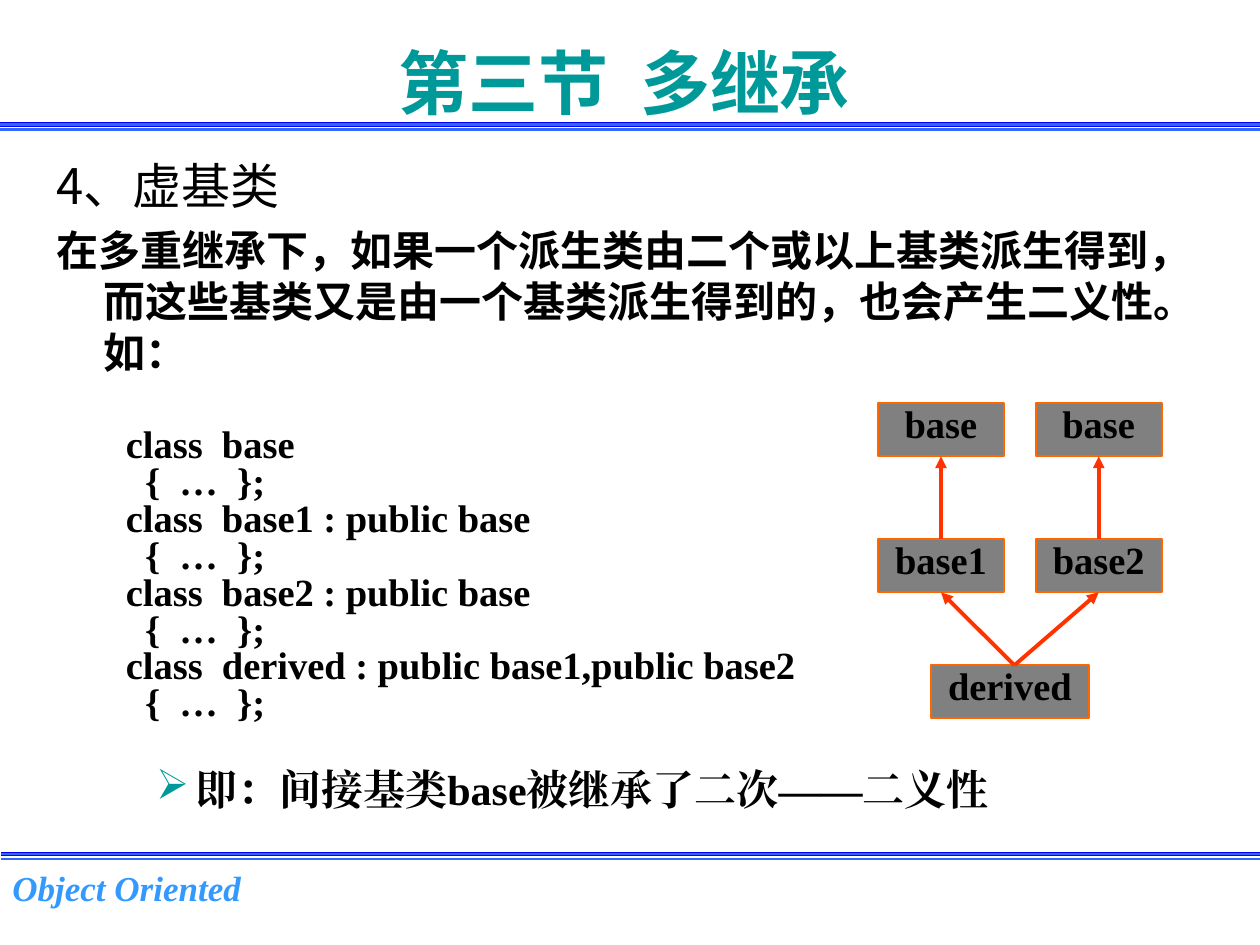
from dataclasses import dataclass

from lxml.etree import SubElement
from pptx import Presentation
from pptx.dml.color import RGBColor as RGB
from pptx.enum.shapes import MSO_CONNECTOR as Link, MSO_SHAPE as Shape
from pptx.enum.text import MSO_ANCHOR as Anchor, PP_ALIGN as Align
from pptx.oxml.ns import qn
from pptx.util import Cm, Pt


@dataclass(frozen=True)
class Theme:
    teal: str = "009999"
    black: str = "000000"
    blue: str = "0000FF"
    azure: str = "3366FF"
    sky: str = "3399FF"
    grey: str = "808080"
    orange: str = "FF6600"
    red: str = "FF3300"
    sans: str = "Arial"
    cjk: str = "Noto Sans CJK SC"
    serif: str = "Times New Roman"
    title: int = 40
    head: int = 28
    text: int = 24
    code: int = 22
    foot: int = 20
    lead: float = 21.1


theme = Theme()


def write(frame, text, size, face, east, color=theme.black, bold=True, lead=None):
    """Fill a text frame and give every paragraph and run the same look."""
    frame.word_wrap = True
    frame.text = text
    for para in frame.paragraphs:
        if lead:
            para.line_spacing = Pt(lead)
        for run in para.runs:
            font = run.font
            font.size, font.name, font.bold = Pt(size), face, bold
            font.color.rgb = RGB.from_string(color)
            SubElement(run._r.get_or_add_rPr(), qn("a:ea")).set("typeface", east)


def draw(shapes, x1, y1, x2, y2, color, width):
    line = shapes.add_connector(Link.STRAIGHT, Cm(x1), Cm(y1), Cm(x2), Cm(y2))
    line.line.color.rgb = RGB.from_string(color)
    line.line.width = Pt(width)
    SubElement(line._element.spPr, qn("a:effectLst"))
    return line


deck = Presentation()
deck.slide_width, deck.slide_height = Cm(25.4), Cm(19.05)
slide = deck.slides.add_slide(deck.slide_layouts[6])
shapes = slide.shapes

# Rules above and below the content
for left, top in ((0, 2.51), (0.03, 17.22)):
    for drop, color, width in ((0, theme.blue, 2.5), (0.1, theme.azure, 1.25),
                               (0, theme.azure, 1.25)):
        draw(shapes, left, top + drop, left + 25.4, top + drop, color, width)

# Footer and title
foot = shapes.add_textbox(Cm(0), Cm(17.35), Cm(8.3), Cm(1.32)).text_frame
write(foot, "Object Oriented", theme.foot, theme.serif, theme.serif, theme.sky)
foot.paragraphs[0].runs[0].font.italic = True

title = shapes.add_textbox(Cm(1.27), Cm(0.76), Cm(22.63), Cm(1.75)).text_frame
write(title, "第三节  多继承", theme.title, theme.sans, theme.cjk, theme.teal)
title.vertical_anchor = Anchor.MIDDLE
title.paragraphs[0].alignment = Align.CENTER

# Heading and explanation
body = shapes.add_textbox(Cm(0.89), Cm(2.92), Cm(23.19), Cm(14)).text_frame
write(body, "4、虚基类\n"
      "在多重继承下，如果一个派生类由二个或以上基类派生得到，"
      "而这些基类又是由一个基类派生得到的，也会产生二义性。如：",
      theme.text, theme.sans, theme.cjk)
head, intro = body.paragraphs
font = head.runs[0].font
font.size, font.name, font.bold = Pt(theme.head), theme.cjk, False
head.line_spacing = Pt(36)
intro.line_spacing = Pt(29)
intro.space_before = Pt(6)
for para in body.paragraphs:
    props = para._p.get_or_add_pPr()
    props.set("marL", str(Cm(0.95)))
    props.set("indent", str(-Cm(0.95)))

# Code listing
names = ("base", "base1 : public base", "base2 : public base",
         "derived : public base1,public base2")
code = shapes.add_textbox(Cm(2.29), Cm(8.53), Cm(14.17), Cm(6.78)).text_frame
write(code, "\n".join(f"class  {name}\n  {{  …  }};" for name in names),
      theme.code, theme.serif, theme.serif, lead=theme.lead)

# Class diagram
tree = shapes.add_group_shape().shapes
wide, high = 2.54, 1.07
cols, rows = (17.7, 20.88), (8.13, 10.87, 13.41)
boxes = [(cols[0], rows[0], wide, "base"), (cols[1], rows[0], wide, "base"),
         (cols[0], rows[1], wide, "base1"), (cols[1], rows[1], wide, "base2"),
         (18.77, rows[2], 3.18, "derived")]
for left, top, width, name in boxes:
    box = tree.add_shape(Shape.RECTANGLE, Cm(left), Cm(top), Cm(width), Cm(high))
    box.shadow.inherit = False
    box.fill.solid()
    box.fill.fore_color.rgb = RGB.from_string(theme.grey)
    box.line.color.rgb = RGB.from_string(theme.orange)
    box.line.width = Pt(1)
    write(box.text_frame, name, theme.code, theme.serif, theme.serif, lead=theme.lead)
    box.text_frame.vertical_anchor = Anchor.TOP
    box.text_frame.paragraphs[0].alignment = Align.CENTER

mids = [col + wide / 2 for col in cols]
links = [(mid, rows[1], mid, rows[0] + high) for mid in mids]
links += [(20.45, rows[2], mid, rows[1] + high) for mid in mids]
for ends in links:
    arrow = draw(tree, *ends, theme.red, 2.25)
    SubElement(arrow.line._get_or_add_ln(), qn("a:tailEnd")).set("type", "triangle")

# Conclusion
note = shapes.add_textbox(Cm(2.9), Cm(15.32), Cm(21.16), Cm(1.27)).text_frame
write(note, "即：间接基类base被继承了二次——二义性", theme.text, theme.serif,
      theme.serif, lead=27.5)
props = note.paragraphs[0]._p.get_or_add_pPr()
props.set("marL", str(Cm(0.79)))
props.set("indent", str(-Cm(0.79)))
tint = SubElement(props, qn("a:buClr"))
SubElement(tint, qn("a:srgbClr")).set("val", theme.teal)
SubElement(props, qn("a:buChar")).set("char", "➢")

deck.save("out.pptx")
